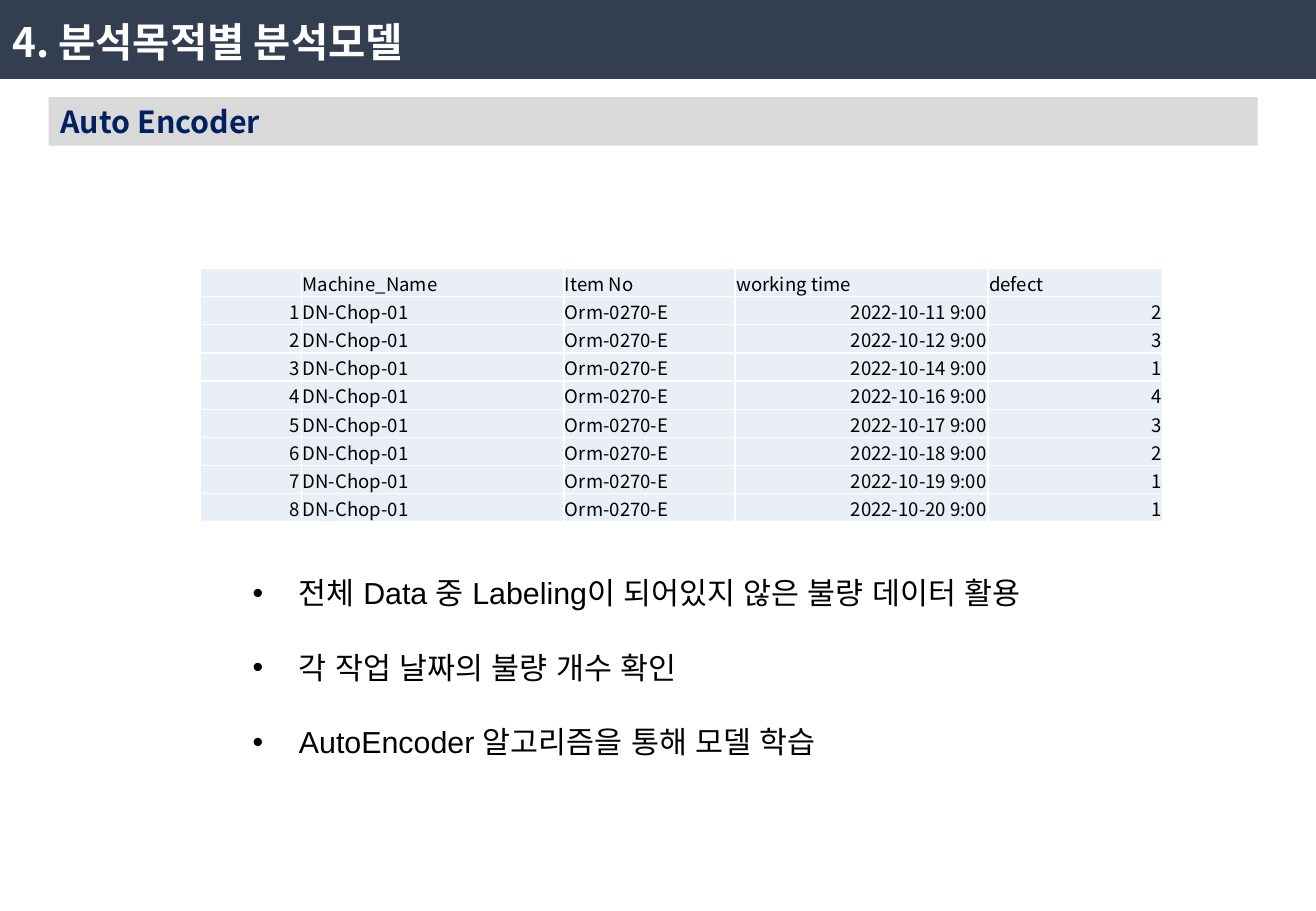
from lxml.etree import SubElement
from pptx import Presentation
from pptx.dml.color import RGBColor
from pptx.enum.shapes import MSO_SHAPE as Shape
from pptx.enum.text import MSO_ANCHOR as Anchor, MSO_AUTO_SIZE as AutoSize, PP_ALIGN as Align
from pptx.oxml.ns import qn
from pptx.util import Inches, Pt

COLORS = {"header": "333F50", "band": "D9D9D9", "navy": "002060",
          "white": "FFFFFF", "black": "000000", "cell": "EAEFF7"}
KOREAN = "Noto Sans CJK KR"
HEADINGS = ["", "Machine_Name", "Item No", "working time", "defect"]
DEFECTS = [(11, 2), (12, 3), (14, 1), (16, 4), (17, 3), (18, 2), (19, 1), (20, 1)]
COLUMN_WIDTHS = [0.83, 2.16, 1.41, 2.08, 1.44]
RIGHT_COLUMNS = {0, 3, 4}
TIME_COLUMN = 3
BULLETS = ["전체 Data 중 Labeling이 되어있지 않은 불량 데이터 활용",
           "각 작업 날짜의 불량 개수 확인",
           "AutoEncoder 알고리즘을 통해 모델 학습"]


def color(name):
    return RGBColor.from_string(COLORS[name])


def place(shape, left, top, width, height):
    shape.left, shape.top = Inches(left), Inches(top)
    shape.width, shape.height = Inches(width), Inches(height)


def write(para, text, size=18, font=KOREAN, fill="black", bold=False, align=Align.LEFT):
    para.alignment = align
    if not text:
        SubElement(para._p, qn("a:endParaRPr"), sz=str(size * 100))
        return
    span = para.add_run()
    span.text = text
    span.font.size, span.font.bold, span.font.name = Pt(size), bold, font
    span.font.color.rgb = color(fill)
    SubElement(span.font._element, qn("a:ea"), typeface=font)


def add_bar(page, fill, *bounds):
    bar = page.shapes.add_shape(Shape.RECTANGLE, *map(Inches, bounds))
    bar.shadow.inherit = False
    bar.fill.solid()
    bar.fill.fore_color.rgb = color(fill)
    bar.line.fill.background()
    return bar


def add_header(page):
    bar = add_bar(page, "header", 0, 0, 10.83, 0.65)
    page.shapes._spTree.insert(2, bar._element)
    title = page.shapes.title
    place(title, 0, 0.09, 3.75, 0.5)
    title.text_frame.auto_size = AutoSize.NONE
    title.text_frame.vertical_anchor = Anchor.MIDDLE
    write(title.text_frame.paragraphs[0], "4. 분석목적별 분석모델",
          size=24, fill="white", bold=True)


def add_section(page):
    band = add_bar(page, "band", 0.4, 0.8, 9.95, 0.4)
    band.text_frame.vertical_anchor = Anchor.MIDDLE
    write(band.text_frame.paragraphs[0], "Auto Encoder", fill="navy", bold=True)


def add_borders(cell):
    properties = cell._tc.get_or_add_tcPr()
    for side in ("lnL", "lnR", "lnT", "lnB"):
        line = SubElement(properties, qn(f"a:{side}"), w=str(Pt(1)))
        SubElement(SubElement(line, qn("a:solidFill")), qn("a:srgbClr"), val=COLORS["white"])


def format_cell(cell, text, align, anchor):
    cell.margin_left = cell.margin_right = cell.margin_top = Inches(0.01)
    cell.margin_bottom = 0
    cell.vertical_anchor = anchor
    add_borders(cell)
    cell.fill.solid()
    cell.fill.fore_color.rgb = color("cell")
    write(cell.text_frame.paragraphs[0], text, size=11, align=align)


def add_defect_table(page):
    rows = [HEADINGS] + [
        [str(number), "DN-Chop-01", "Orm-0270-E", f"2022-10-{day} 9:00", str(count)]
        for number, (day, count) in enumerate(DEFECTS, 1)]
    bounds = map(Inches, (1.65, 2.21, 7.93, 2.06))
    table = page.shapes.add_table(len(rows), len(HEADINGS), *bounds).table
    table.first_row = table.horz_banding = False
    for column, width in zip(table.columns, COLUMN_WIDTHS):
        column.width = Inches(width)
    for row_index, row in enumerate(rows):
        for column_index, text in enumerate(row):
            body = row_index > 0
            align = Align.RIGHT if body and column_index in RIGHT_COLUMNS else Align.LEFT
            centred = column_index == (TIME_COLUMN if body else 1)
            format_cell(table.cell(row_index, column_index), text, align,
                        Anchor.MIDDLE if centred else Anchor.BOTTOM)


def add_bullets(page):
    box = page.placeholders[1]
    place(box, 1.98, 4.68, 7.45, 1.62)
    frame = box.text_frame
    frame.auto_size = AutoSize.NONE
    frame.vertical_anchor = Anchor.TOP
    for index, text in enumerate(BULLETS):
        para = frame.add_paragraph() if index else frame.paragraphs[0]
        para.space_before, para.space_after = Pt(0), Pt(22.5)
        write(para, text, font="Arial")
        properties = para._p.get_or_add_pPr()
        properties.set("marL", str(Inches(0.38)))
        properties.set("indent", str(Inches(-0.38)))
        SubElement(properties, qn("a:buFont"), typeface="Arial")
        SubElement(properties, qn("a:buChar"), char="•")


def main():
    """Build the Auto Encoder slide."""
    deck = Presentation()
    deck.slide_width, deck.slide_height = Inches(10.83), Inches(7.5)
    page = deck.slides.add_slide(deck.slide_layouts[1])
    add_header(page)
    add_section(page)
    add_defect_table(page)
    add_bullets(page)
    deck.save("out.pptx")


if __name__ == "__main__":
    main()
